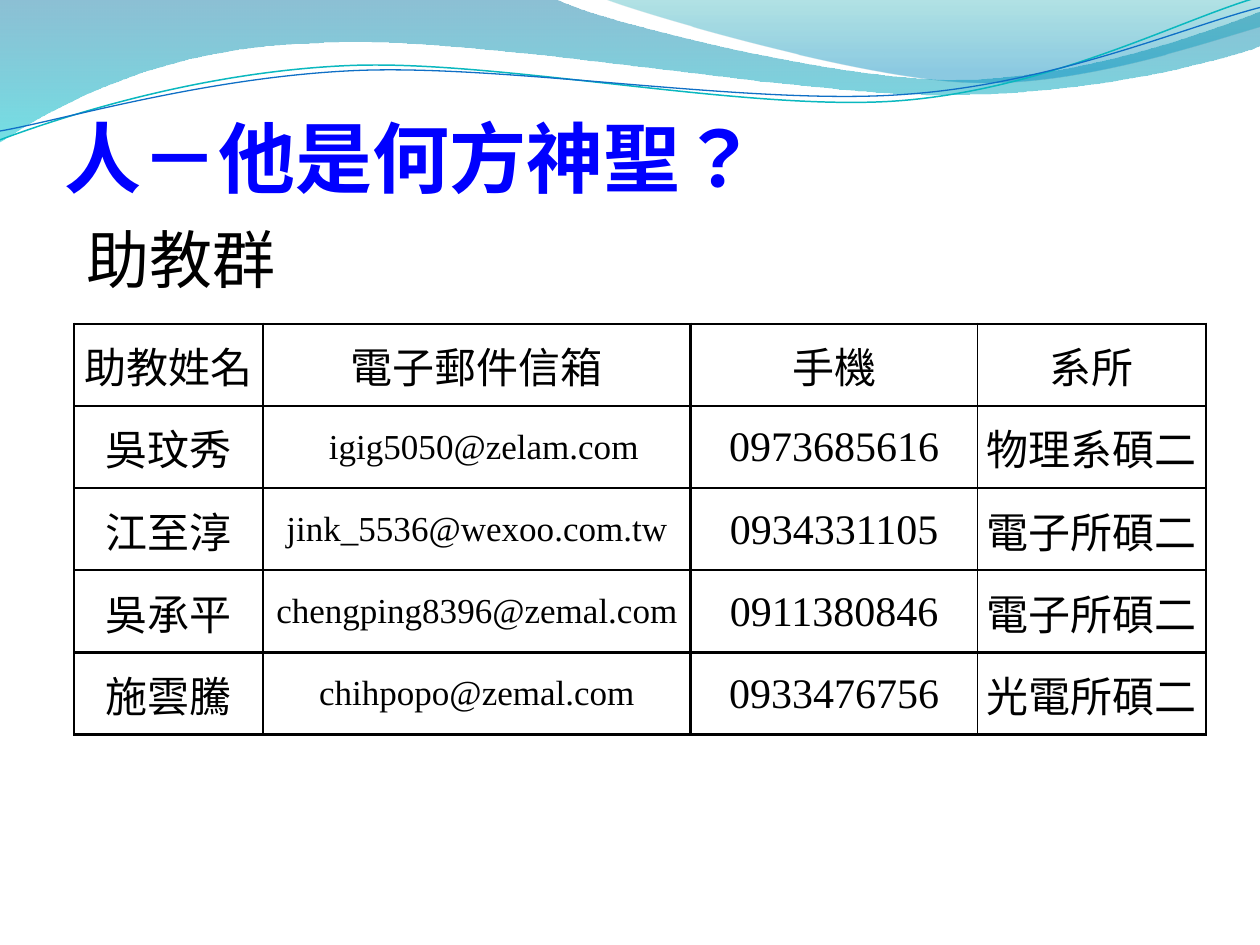
"""Build the teaching assistant contact slide with its wave header."""
import dataclasses
import math
import typing

import lxml.etree
import pptx
import pptx.dml.color
import pptx.enum.text
import pptx.oxml.ns
import pptx.util

Inches = pptx.util.Inches
Point = tuple[float, float]
Segment = tuple[Point, ...]


@dataclasses.dataclass(frozen=True)
class Theme:
    title_color: str = "0000FF"
    text_color: str = "000000"
    border_color: str = "000000"
    title_font: str = "Calibri"
    cjk_font: str = "Noto Sans CJK JP"
    table_font: str = "Times New Roman"
    title_size: float = 44
    subtitle_size: float = 36
    table_size: float = 24
    email_size: float = 20
    border_width: float = 1.5
    inner_border_width: float = 1


class Stop(typing.NamedTuple):
    position: float
    color: str
    opacity: int


class Line(typing.NamedTuple):
    color: str
    width: float


class Wave(typing.NamedTuple):
    start: Point
    segments: tuple[Segment, ...]
    stops: tuple[Stop, Stop] | None = None
    line: Line | None = None
    rotation: float = 0
    center: Point = (0, 0)


class Assistant(typing.NamedTuple):
    name: str
    email: str
    phone: str
    department: str


THEME = Theme()
WAVES = (
    Wave((0, 0), (
        ((4.4, -0.01),),
        ((4.76, 0.17), (6.64, 0.63), (7.58, 0.63)),
        ((8.53, 0.63), (9.58, 0.26), (10, 0.09)),
        ((10.01, 0.36),),
        ((9.83, 0.44), (8.7, 0.76), (7.46, 0.75)),
        ((6.22, 0.75), (3.82, 0.28), (2.57, 0.34)),
        ((1.29, 0.36), (0.46, 0.83), (-0.01, 1.13)),
        ((0, 0),),
    ), stops=(Stop(0, "0074A1", 45), Stop(1, "00C6CF", 55))),
    Wave((4.79, -0.01), (
        ((5.09, 0.11), (6.82, 0.62), (7.69, 0.65)),
        ((8.56, 0.69), (9.61, 0.32), (10, 0.21)),
        ((10, 0),),
        ((4.79, -0.01),),
    ), stops=(Stop(0, "00A1A9", 30), Stop(0.8, "008BBF", 45))),
    Wave((0, 1.11), (
        ((0.48, 0.93), (1.58, 0.57), (2.77, 0.52)),
        ((3.95, 0.47), (5.93, 0.89), (7.13, 0.8)),
        ((8.33, 0.71), (9.38, 0.15), (9.98, -0.02)),
    ), line=Line("0AB8BF", 0.85), rotation=357.3, center=(4.99, 0.58)),
    Wave((0, 1.04), (
        ((0.47, 0.96), (1.64, 0.61), (2.83, 0.56)),
        ((4.03, 0.51), (5.97, 0.84), (7.17, 0.75)),
        ((8.36, 0.67), (9.41, 0.21), (10, 0.06)),
    ), line=Line("0F6FC6", 0.75), rotation=357.3, center=(5, 0.59)),
)
COLUMN_WIDTHS = (1.5, 3.39, 2.28, 1.81)
TABLE_HEIGHT = 3.26
HEADER = Assistant("助教姓名", "電子郵件信箱", "手機", "系所")
ASSISTANTS = (
    Assistant("吳玟秀", "igig5050@zelam.com", "0973685616", "物理系碩二"),
    Assistant("江至淳", "jink_5536@wexoo.com.tw", "0934331105", "電子所碩二"),
    Assistant("吳承平", "chengping8396@zemal.com", "0911380846", "電子所碩二"),
    Assistant("施雲騰", "chihpopo@zemal.com", "0933476756", "光電所碩二"),
)


def rgb(color: str) -> pptx.dml.color.RGBColor:
    return pptx.dml.color.RGBColor.from_string(color)


def add_child(parent, tag: str, **attributes: str):
    child = lxml.etree.SubElement(parent, pptx.oxml.ns.qn(tag))
    for key, value in attributes.items():
        child.set(key, value)
    return child


def level_point(point: Point, wave: Wave) -> Point:
    angle = math.radians(-wave.rotation)
    x, y = point[0] - wave.center[0], point[1] - wave.center[1]
    return (wave.center[0] + x * math.cos(angle) - y * math.sin(angle),
            wave.center[1] + x * math.sin(angle) + y * math.cos(angle))


def bend_segments(shape, segments: tuple[Segment, ...]) -> None:
    lines = list(shape.element.spPr.iter(pptx.oxml.ns.qn("a:lnTo")))
    for segment in segments:
        group, lines = lines[:len(segment)], lines[len(segment):]
        if len(group) == 3:
            curve = lxml.etree.Element(pptx.oxml.ns.qn("a:cubicBezTo"))
            group[0].addprevious(curve)
            for line in group:
                curve.append(line[0])
                line.getparent().remove(line)


def add_wave(page, wave: Wave) -> None:
    points = [wave.start, *(point for segment in wave.segments for point in segment)]
    corners = [tuple(Inches(value) for value in level_point(point, wave)) for point in points]
    builder = page.shapes.build_freeform(*corners[0])
    builder.add_line_segments(corners[1:], close=wave.stops is not None)
    shape = builder.convert_to_shape()
    bend_segments(shape, wave.segments)
    shape.rotation = wave.rotation
    shape.shadow.inherit = False
    if wave.line:
        shape.fill.background()
        shape.line.color.rgb = rgb(wave.line.color)
        shape.line.width = pptx.util.Pt(wave.line.width)
    if wave.stops:
        shape.line.fill.background()
        shape.fill.gradient()
        shape.fill.gradient_angle = 270
        for target, stop in zip(shape.fill.gradient_stops, wave.stops):
            target.position = stop.position
            target.color.rgb = rgb(stop.color)
        colors = shape.element.spPr.iter(pptx.oxml.ns.qn("a:srgbClr"))
        for color, stop in zip(colors, wave.stops):
            add_child(color, "a:alpha", val=str(stop.opacity * 1000))


def add_run(para, text: str, font: str, size: float, color: str, bold: bool = False) -> None:
    span = para.add_run()
    span.text = text
    span.font.size = pptx.util.Pt(size)
    span.font.bold = bold
    span.font.color.rgb = rgb(color)
    span.font.name = font
    properties = span.font._element
    properties.set("lang", "zh-TW")
    properties.set("kern", "0")
    add_child(properties, "a:ea", typeface=THEME.cjk_font)


def add_title(page) -> None:
    box = page.shapes.add_textbox(Inches(0.51), Inches(0.36), Inches(9.08), Inches(1.25))
    frame = box.text_frame
    frame.word_wrap = True
    frame.vertical_anchor = pptx.enum.text.MSO_ANCHOR.BOTTOM
    frame.margin_left = frame.margin_right = frame.margin_bottom = 0
    add_run(frame.paragraphs[0], "人－他是何方神聖？", THEME.title_font,
            THEME.title_size, THEME.title_color, bold=True)


def add_subtitle(page) -> None:
    box = page.shapes.add_textbox(Inches(0.59), Inches(1.7), Inches(1.72), Inches(0.71))
    box.text_frame.word_wrap = False
    box.text_frame.auto_size = pptx.enum.text.MSO_AUTO_SIZE.SHAPE_TO_FIT_TEXT
    add_run(box.text_frame.paragraphs[0], "助教群", THEME.cjk_font,
            THEME.subtitle_size, THEME.text_color)


def set_borders(cell, column: int) -> None:
    outer, inner = THEME.border_width, THEME.inner_border_width
    widths = {"L": inner if column == 3 else outer, "R": inner if column == 2 else outer,
              "T": outer, "B": outer}
    properties = cell._tc.get_or_add_tcPr()
    for side, width in widths.items():
        border = add_child(properties, f"a:ln{side}", w=str(pptx.util.Pt(width)))
        add_child(add_child(border, "a:solidFill"), "a:srgbClr", val=THEME.border_color)


def add_contacts(page) -> None:
    rows = (HEADER, *ASSISTANTS)
    table = page.shapes.add_table(
        len(rows), len(COLUMN_WIDTHS), Inches(0.59), Inches(2.57),
        Inches(sum(COLUMN_WIDTHS)), Inches(TABLE_HEIGHT)).table
    table.first_row = table.horz_banding = False
    for column, width in zip(table.columns, COLUMN_WIDTHS):
        column.width = Inches(width)
    for row_index, row in enumerate(rows):
        for column, text in enumerate(row):
            cell = table.cell(row_index, column)
            set_borders(cell, column)
            cell.fill.background()
            cell.vertical_anchor = pptx.enum.text.MSO_ANCHOR.MIDDLE
            cell.margin_left = Inches(0.12 if (row_index, column) == (1, 1) else 0.01)
            cell.margin_right = cell.margin_top = Inches(0.01)
            cell.margin_bottom = 0
            para = cell.text_frame.paragraphs[0]
            para.alignment = pptx.enum.text.PP_ALIGN.CENTER
            size = THEME.email_size if "@" in text else THEME.table_size
            add_run(para, text, THEME.table_font, size, THEME.text_color)


def main() -> None:
    deck = pptx.Presentation()
    deck.slide_width, deck.slide_height = Inches(10), Inches(7.5)
    page = deck.slides.add_slide(deck.slide_layouts[6])
    for wave in WAVES:
        add_wave(page, wave)
    add_title(page)
    add_subtitle(page)
    add_contacts(page)
    deck.save("out.pptx")


if __name__ == "__main__":
    main()
